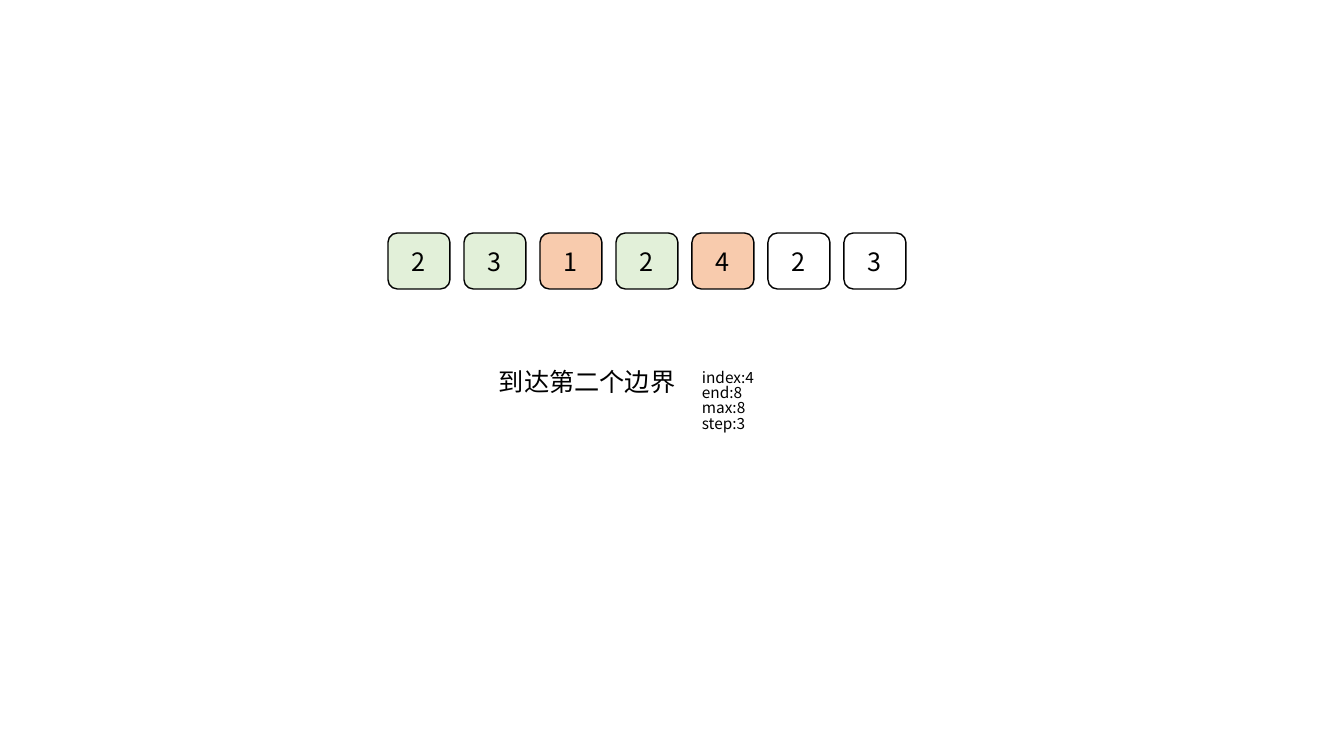
from dataclasses import dataclass

from pptx import Presentation
from pptx.dml.color import RGBColor
from pptx.enum.shapes import MSO_SHAPE
from pptx.enum.text import MSO_ANCHOR, MSO_AUTO_SIZE, PP_ALIGN
from pptx.oxml.ns import qn
from pptx.slide import Slide
from pptx.text.text import TextFrame
from pptx.util import Emu, Pt

ROUNDED = MSO_SHAPE.ROUNDED_RECTANGLE
MIDDLE, TOP = MSO_ANCHOR.MIDDLE, MSO_ANCHOR.TOP
CENTER, LEFT = PP_ALIGN.CENTER, PP_ALIGN.LEFT
GROW = MSO_AUTO_SIZE.SHAPE_TO_FIT_TEXT

SLIDE_W, SLIDE_H = 1344, 756
EMU_PER_PX = 12192000 / SLIDE_W
FONT = "Noto Sans CJK SC"
BLACK, WHITE, GREEN, ORANGE = "000000", "FFFFFF", "E2F0D9", "F8CBAD"

CELL_LEFT, CELL_TOP, CELL_W, CELL_H, CELL_PITCH = 388, 233, 62, 56, 76


@dataclass
class Cell:
    value: str
    fill: str


@dataclass
class Label:
    text: str
    box: tuple[int, int, int, int]
    size: int


CELLS = [
    Cell("2", GREEN), Cell("3", GREEN), Cell("1", ORANGE), Cell("2", GREEN),
    Cell("4", ORANGE), Cell("2", WHITE), Cell("3", WHITE),
]
LABELS = [
    Label("index:4\nend:8\nmax:8\nstep:3", (692, 366, 77, 85), 11),
    Label("到达第二个边界", (489, 366, 203, 40), 18),
]


def px(n: int) -> Emu:
    return Emu(round(n * EMU_PER_PX))


def rgb(color: str) -> RGBColor:
    return RGBColor.from_string(color)


def write(tf: TextFrame, text: str, *, size: int, color: str = BLACK,
          align: PP_ALIGN = LEFT, anchor: MSO_ANCHOR = TOP,
          line_spacing: float = 0.83) -> None:
    tf.word_wrap = True
    tf.vertical_anchor = anchor
    for i, line in enumerate(text.split("\n")):
        p = tf.paragraphs[0] if i == 0 else tf.add_paragraph()
        p.alignment = align
        p.line_spacing = line_spacing
        r = p.add_run()
        r.text = line
        r.font.size = Pt(size)
        r.font.name = FONT
        r.font.color.rgb = rgb(color)
        # East Asian characters take their own typeface element
        ea = r.font._element.makeelement(qn("a:ea"), {"typeface": FONT})
        r.font._element.append(ea)


def add_cell(s: Slide, cell: Cell, left: int) -> None:
    sp = s.shapes.add_shape(ROUNDED, px(left), px(CELL_TOP), px(CELL_W), px(CELL_H))
    sp.shadow.inherit = False
    sp.fill.solid()
    sp.fill.fore_color.rgb = rgb(cell.fill)
    sp.line.color.rgb = rgb(BLACK)
    sp.line.width = Pt(1)
    write(sp.text_frame, cell.value, size=18, align=CENTER, anchor=MIDDLE,
          line_spacing=1.0)


def add_label(s: Slide, label: Label) -> None:
    sp = s.shapes.add_textbox(*(px(n) for n in label.box))
    write(sp.text_frame, label.text, size=label.size)
    sp.text_frame.auto_size = GROW


def main() -> None:
    prs = Presentation()
    prs.slide_width, prs.slide_height = px(SLIDE_W), px(SLIDE_H)
    s = prs.slides.add_slide(prs.slide_layouts[6])

    # Row of array cells
    for i, cell in enumerate(CELLS):
        add_cell(s, cell, CELL_LEFT + i * CELL_PITCH)

    # Step caption and variable values
    for label in LABELS:
        add_label(s, label)

    prs.save("out.pptx")


if __name__ == "__main__":
    main()
